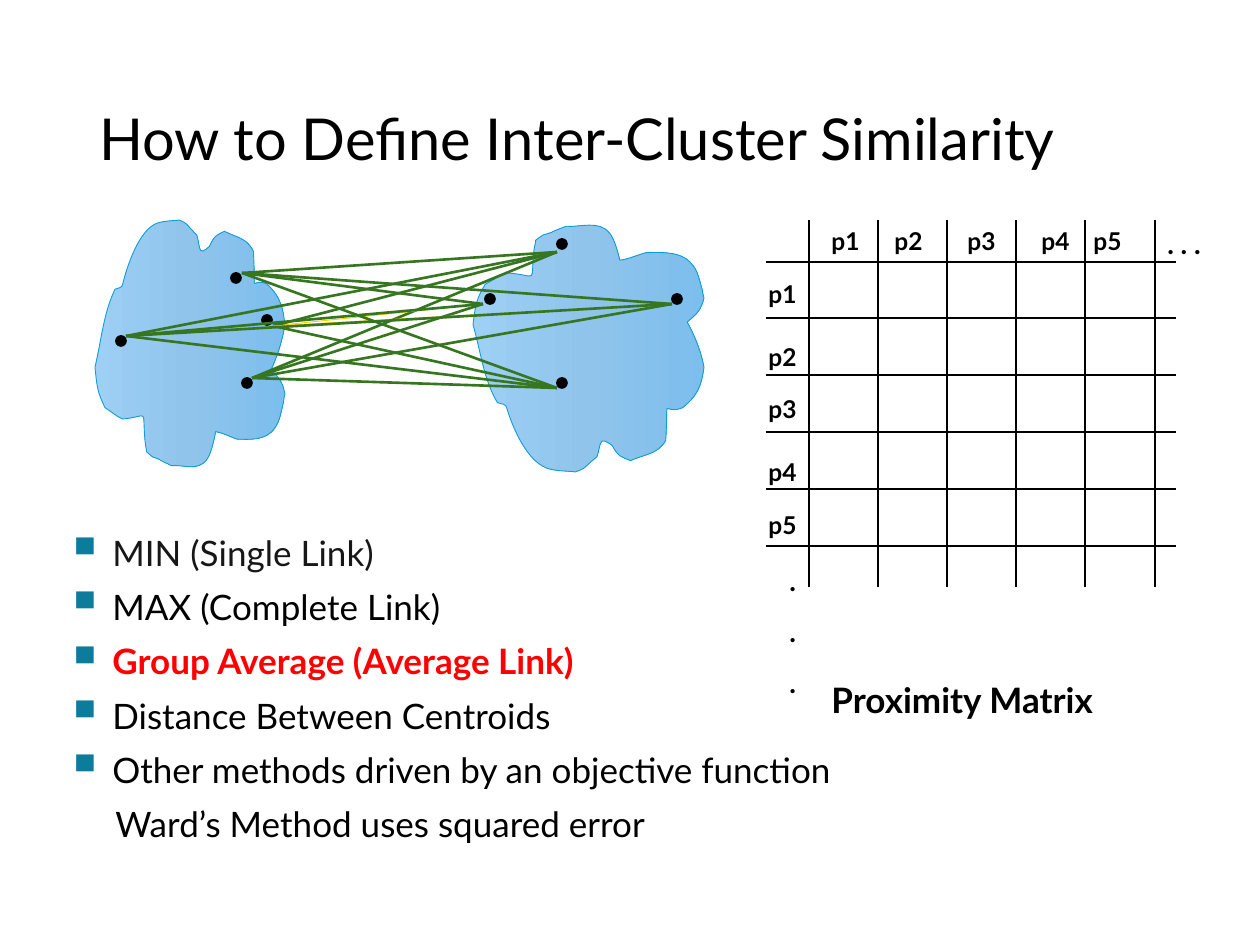
from copy import deepcopy
from dataclasses import dataclass

from lxml import etree
from pptx import Presentation
from pptx import util as u
from pptx.dml.color import RGBColor
from pptx.enum import shapes, text
from pptx.oxml.ns import qn

EMU_PER_PX = 914400 / 126


@dataclass(frozen=True)
class Theme:
    font: str = "Lato"
    ink: str = "000000"
    soft_ink: str = "171717"
    accent: str = "FF0000"
    bullet: str = "0C7B9C"
    link: str = "377620"
    faint_link: str = "FFCC00"
    cloud_edge: str = "0F9ED5"
    cloud_fill: tuple = ("9ECFF5", "90C4EB", "7CBEED")
    title: int = 33
    body: int = 20
    dots: int = 16
    label: int = 14


THEME = Theme()

CLOUD_SIZE = (151, 200)
CLOUD_START = (16, 55)
CLOUD_CURVES = [
    (7, 73, 5, 96, 0, 117), (2, 135, 2, 136, 8, 149),
    (13, 152, 17, 156, 22, 158), (44, 156, 37, 148, 40, 177),
    (40, 179, 41, 181, 41, 184), (48, 190, 44, 187, 51, 190),
    (54, 192, 61, 195, 61, 195), (70, 194, 82, 200, 89, 190),
    (93, 185, 96, 168, 96, 168), (102, 169, 107, 172, 113, 174),
    (121, 174, 136, 176, 143, 165), (147, 160, 148, 152, 150, 144),
    (150, 142, 151, 138, 151, 138), (149, 128, 146, 125, 140, 119),
    (145, 108, 149, 96, 151, 83), (149, 66, 146, 60, 137, 51),
    (123, 44, 128, 65, 126, 25), (121, 14, 112, 14, 103, 9),
    (97, 12, 95, 12, 91, 21), (82, 29, 84, 23, 81, 12),
    (70, 1, 75, 4, 67, 0), (63, 1, 51, 0, 45, 5),
    (34, 13, 26, 35, 22, 51), (22, 54, 18, 54, 16, 55),
]


def px(length):
    return u.Emu(round(length * EMU_PER_PX))


def rgb(color):
    return RGBColor.from_string(color)


def add_text(parent, box, lines, size, bold=False, before=None):
    frame = parent.add_textbox(*map(px, box)).text_frame
    frame.word_wrap = True
    frame.text = "\n".join(lines)
    for paragraph in frame.paragraphs:
        if before is not None:
            paragraph.space_before = u.Pt(before)
        font = paragraph.runs[0].font
        font.name, font.size, font.bold = THEME.font, u.Pt(size), bold
        font.color.rgb = rgb(THEME.ink)
    return frame


def add_line(parent, start, end, color, width):
    line = parent.add_connector(
        shapes.MSO_CONNECTOR.STRAIGHT, *map(px, (*start, *end)))
    line.line.color.rgb = rgb(color)
    line.line.width = u.Pt(width)
    etree.SubElement(line._element.spPr, qn("a:effectLst"))


def add_cloud(parent, box, flipped=False):
    left, top, width, height = box

    def place(x, y):
        if flipped:
            y = CLOUD_SIZE[1] - y
        return (px(left + x * width / CLOUD_SIZE[0]),
                px(top + y * height / CLOUD_SIZE[1]))

    builder = parent.build_freeform(*place(*CLOUD_START), scale=1.0)
    builder.add_line_segments(
        [place(*curve[i:i + 2]) for curve in CLOUD_CURVES for i in (0, 2, 4)],
        close=True)
    cloud = builder.convert_to_shape()
    segments = list(cloud._element.iter(qn("a:lnTo")))
    for first in range(0, len(segments), 3):
        curve = etree.Element(qn("a:cubicBezTo"))
        segments[first].addprevious(curve)
        for segment in segments[first:first + 3]:
            curve.append(segment[0])
            segment.getparent().remove(segment)

    cloud.shadow.inherit = False
    cloud.line.color.rgb = rgb(THEME.cloud_edge)
    cloud.line.width = u.Pt(0.5)
    cloud.fill.gradient()
    cloud.fill.gradient_angle = 0
    stops = cloud._element.spPr.find(".//" + qn("a:gsLst"))
    stops.insert(1, deepcopy(stops[0]))
    for i, (stop, color) in enumerate(zip(cloud.fill.gradient_stops, THEME.cloud_fill)):
        stop.color.rgb = rgb(color)
        stop.position = i / 2


def add_point(parent, left, top):
    point = parent.add_shape(shapes.MSO_SHAPE.OVAL, *map(px, (left, top, 10, 10)))
    point.shadow.inherit = False
    point.fill.solid()
    point.fill.fore_color.rgb = rgb(THEME.ink)
    point.line.color.rgb = rgb(THEME.ink)
    point.line.width = u.Pt(1)


def add_clusters(slide, left, top):
    parent = slide.shapes.add_group_shape().shapes
    add_cloud(parent, (left, top, 190, 252))
    add_cloud(parent, (left + 378, top, 231, 252), flipped=True)
    for x, y in [(147, 158), (136, 53), (21, 116), (167, 95),
                 (577, 74), (390, 74), (462, 158), (462, 19)]:
        add_point(parent, left + x, top + y)

    starts = [(157, 158), (178, 106), (31, 116), (147, 53)]
    ends = [(462, 168), (388, 84), (462, 32), (577, 84)]
    faint = {(1, 1), (1, 3)}
    for i, (x1, y1) in enumerate(starts):
        for j, (x2, y2) in enumerate(ends):
            color, width = ((THEME.faint_link, 0.5) if (i, j) in faint
                            else (THEME.link, 1.5))
            add_line(parent, (left + x1, top + y1), (left + x2, top + y2),
                     color, width)


def add_matrix(slide, left, top):
    parent = slide.shapes.add_group_shape().shapes
    for i in range(6):
        x = left + 43 + i * 346 // 5
        y = top + 42 + i * 284 // 5
        add_line(parent, (x, top), (x, top + 367), THEME.ink, 1)
        add_line(parent, (left, y), (left + 410, y), THEME.ink, 1)

    column_lefts = [53, 116, 189, 263, 315]
    row_tops = [53, 116, 168, 231, 284]
    for i, (x, y) in enumerate(zip(column_lefts, row_tops), start=1):
        for dx, dy in ((x, 0), (-10, y)):
            add_text(parent, (left + dx, top + dy, 73, 43), [f"p{i}"],
                     THEME.label, True, 8.8)
    add_text(parent, (left + 389, top, 73, 47), [". . ."], THEME.dots, True, 10)
    add_text(parent, (left + 11, top + 337, 73, 150), ["."] * 3,
             THEME.dots, True, 10)
    add_text(parent, (left + 53, top + 452, 346, 55), ["Proximity Matrix"],
             THEME.body, True, 12.5)


def add_title(slide, box):
    frame = add_text(slide.shapes, box, ["How to Define Inter-Cluster Similarity"],
                     THEME.title)
    frame.vertical_anchor = text.MSO_ANCHOR.MIDDLE
    frame.paragraphs[0].line_spacing = 0.9


def add_methods(slide, box):
    methods = ["MIN (Single Link)", "MAX (Complete Link)",
               "Group Average (Average Link)", "Distance Between Centroids",
               "Other methods driven by an objective function",
               "Ward’s Method uses squared error"]
    frame = add_text(slide.shapes, box, methods, THEME.body, before=3)
    *bulleted, detail = frame.paragraphs
    for paragraph in frame.paragraphs:
        paragraph.space_after = u.Pt(4)
    for paragraph in bulleted:
        props = paragraph._p.get_or_add_pPr()
        props.set("marL", str(px(47)))
        props.set("indent", str(px(-47)))
        color = etree.SubElement(props, qn("a:buClr"))
        etree.SubElement(color, qn("a:srgbClr"), val=THEME.bullet)
        etree.SubElement(props, qn("a:buSzPct"), val="150000")
        etree.SubElement(props, qn("a:buChar"), char="▪")
    detail.level = 1
    props = detail._p.get_or_add_pPr()
    props.set("marL", str(px(50)))
    props.set("indent", "0")
    etree.SubElement(props, qn("a:buNone"))

    bulleted[0].runs[0].font.color.rgb = rgb(THEME.soft_ink)
    chosen = bulleted[2].runs[0].font
    chosen.color.rgb = rgb(THEME.accent)
    chosen.bold = True


def main():
    deck = Presentation()
    deck.slide_width, deck.slide_height = px(1260), px(945)
    slide = deck.slides.add_slide(deck.slide_layouts[6])
    add_title(slide, (87, 50, 1086, 183))
    add_clusters(slide, 95, 220)
    add_matrix(slide, 766, 220)
    add_methods(slide, (53, 525, 798, 420))
    deck.save("out.pptx")


if __name__ == "__main__":
    main()
